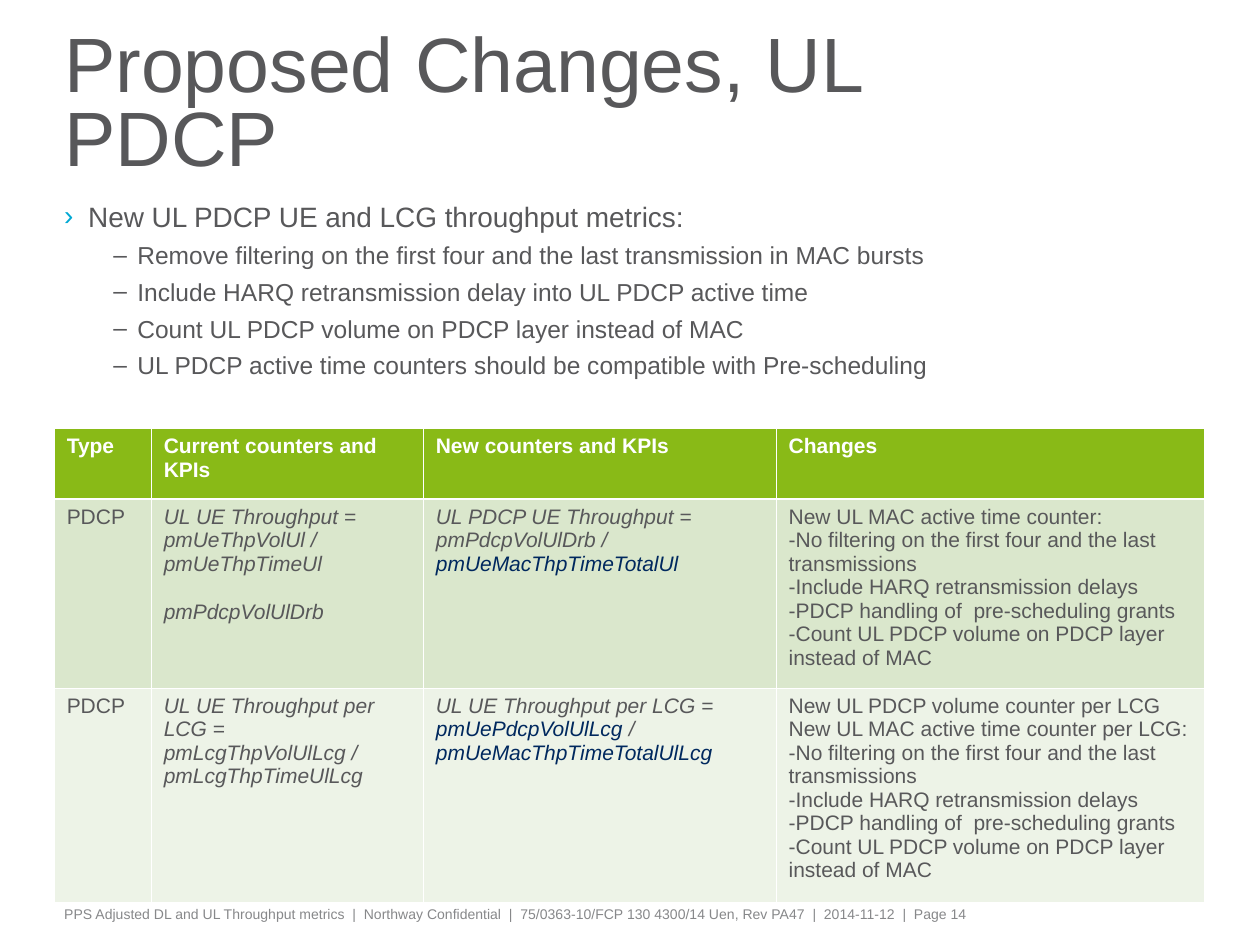
from lxml.etree import SubElement
from pptx import Presentation
from pptx.dml.color import RGBColor
from pptx.enum.text import MSO_ANCHOR, MSO_AUTO_SIZE, PP_ALIGN
from pptx.oxml.ns import qn
from pptx.util import Inches, Pt

COLORS = {"text": "58585A", "foot": "87888A", "new": "00285E", "mark": "00A9D4",
          "white": "FFFFFF", "head": "89BA17", "odd": "DAE7CC", "even": "EDF3E7"}
GRID = 0.1  # inches per column and row: 100 columns by 75 rows


def units(*counts):
    return [Inches(n * GRID) for n in counts]


def write(para, text, size=12, color="text", bold=False, italic=False,
          before=0, line=None):
    """Fill a paragraph; text is a string or a list of (string, colour) runs."""
    para.alignment = PP_ALIGN.LEFT
    para.space_before = Pt(before)
    if line:
        para.line_spacing = line
    for part, tone in [(text, color)] if isinstance(text, str) else text:
        run = para.add_run()
        run.text = part
        font = run.font
        font.name, font.size = "Arial", Pt(size)
        font.bold, font.italic = bold, italic
        font.color.rgb = RGBColor.from_string(COLORS[tone])


class Deck:
    def __init__(self):
        self.file = Presentation()
        self.file.slide_width, self.file.slide_height = units(100, 75)
        self.slide = self.file.slides.add_slide(self.file.slide_layouts[1])

    def frame(self, shape, box, side=0.08, top=0, anchor=MSO_ANCHOR.TOP):
        shape.left, shape.top, shape.width, shape.height = units(*box)
        frame = shape.text_frame
        frame.auto_size = MSO_AUTO_SIZE.NONE
        frame.word_wrap = True
        frame.vertical_anchor = anchor
        frame.margin_left = frame.margin_right = Inches(side)
        frame.margin_top = frame.margin_bottom = Inches(top)
        return frame

    def title(self, text, box):
        frame = self.frame(self.slide.shapes.title, box, anchor=MSO_ANCHOR.MIDDLE)
        write(frame.paragraphs[0], text, size=44, line=0.8)

    def bullets(self, items, box):
        frame = self.frame(self.slide.placeholders[1], box)
        for i, (level, text) in enumerate(items):
            para = frame.paragraphs[0] if i == 0 else frame.add_paragraph()
            para.level = level
            mark, tone, size, left = [("›", "mark", 16, 0.19),
                                      ("–", "text", 14, 0.58)][level]
            props = para._p.get_or_add_pPr()
            props.set("marL", str(Inches(left)))
            props.set("indent", str(-Inches(0.19)))
            hue = SubElement(props, qn("a:buClr"))
            SubElement(hue, qn("a:srgbClr"), val=COLORS[tone])
            SubElement(props, qn("a:buFont"), typeface="Arial")
            SubElement(props, qn("a:buChar"), char=mark)
            write(para, text, size=size, before=4.2 if i else 0)

    def border(self, cell, first, head):
        props = cell._tc.get_or_add_tcPr()
        thick = {"B"} if head else {"T"} if first else set()
        for i, side in enumerate("LRTB"):
            width = Pt(1.47 if side in thick else 0.45)
            line = props.makeelement(qn(f"a:ln{side}"), {"w": str(width)})
            fill = SubElement(line, qn("a:solidFill"))
            SubElement(fill, qn("a:srgbClr"), val=COLORS["white"])
            props.insert(i, line)

    def table(self, rows, at, widths, heights):
        grid = self.slide.shapes.add_table(
            len(rows), len(widths), *units(*at, sum(widths), sum(heights))).table
        for col, width in zip(grid.columns, units(*widths)):
            col.width = width
        for row, height in zip(grid.rows, units(*heights)):
            row.height = height
        for r, row in enumerate(rows):
            head = r == 0
            tone = "head" if head else "odd" if r % 2 else "even"
            for c, paras in enumerate(row):
                cell = grid.cell(r, c)
                cell.fill.solid()
                cell.fill.fore_color.rgb = RGBColor.from_string(COLORS[tone])
                self.border(cell, r == 1, head)
                frame = cell.text_frame
                slant = not head and c in (1, 2)
                for i, text in enumerate(paras):
                    para = frame.paragraphs[0] if i == 0 else frame.add_paragraph()
                    # Separate formulas in one cell by a line's height
                    write(para, text, bold=head, italic=slant,
                          color="white" if head else "text",
                          before=13.8 if slant and i else 0)

    def note(self, text, box):
        shape = self.slide.shapes.add_textbox(*units(*box))
        frame = self.frame(shape, box, top=0.05)
        write(frame.paragraphs[0], text, size=8, color="foot")


def main():
    deck = Deck()

    # Title and list
    deck.title("Proposed Changes, UL PDCP", (4.3, 2.6, 82, 11.9))
    deck.bullets([
        (0, "New UL PDCP UE and LCG throughput metrics:"),
        (1, "Remove filtering on the first four and the last transmission in MAC bursts"),
        (1, "Include HARQ retransmission delay into UL PDCP active time"),
        (1, "Count UL PDCP volume on PDCP layer instead of MAC"),
        (1, "UL PDCP active time counters should be compatible with Pre-scheduling"),
    ], (4.3, 15.8, 91.3, 14.8))

    # Counter table
    shared = ["-No filtering on the first four and the last transmissions",
              "-Include HARQ retransmission delays",
              "-PDCP handling of  pre-scheduling grants",
              "-Count UL PDCP volume on PDCP layer instead of MAC"]
    deck.table([
        [["Type"], ["Current counters and KPIs"], ["New counters and KPIs"], ["Changes"]],
        [["PDCP"],
         ["UL UE Throughput = pmUeThpVolUl / pmUeThpTimeUl", "pmPdcpVolUlDrb"],
         [[("UL PDCP UE Throughput = pmPdcpVolUlDrb / ", "text"),
           ("pmUeMacThpTimeTotalUl", "new")]],
         ["New UL MAC active time counter:"] + shared],
        [["PDCP"],
         ["UL UE Throughput per LCG = pmLcgThpVolUlLcg / pmLcgThpTimeUlLcg"],
         [[("UL UE Throughput per LCG = ", "text"), ("pmUePdcpVolUlLcg", "new"),
           (" / ", "text"), ("pmUeMacThpTimeTotalUlLcg", "new")]],
         ["New UL PDCP volume counter per LCG",
          "New UL MAC active time counter per LCG:"] + shared],
    ], (4.3, 34), (7.7, 21.6, 28, 34), (5.6, 15, 17))

    # Footer
    deck.note("PPS Adjusted DL and UL Throughput metrics  |  Northway Confidential  |  "
              "75/0363-10/FCP 130 4300/14 Uen, Rev PA47  |  2014-11-12  |  Page 14",
              (4.3, 71.4, 80.9, 2.4))

    deck.file.save("out.pptx")


if __name__ == "__main__":
    main()
